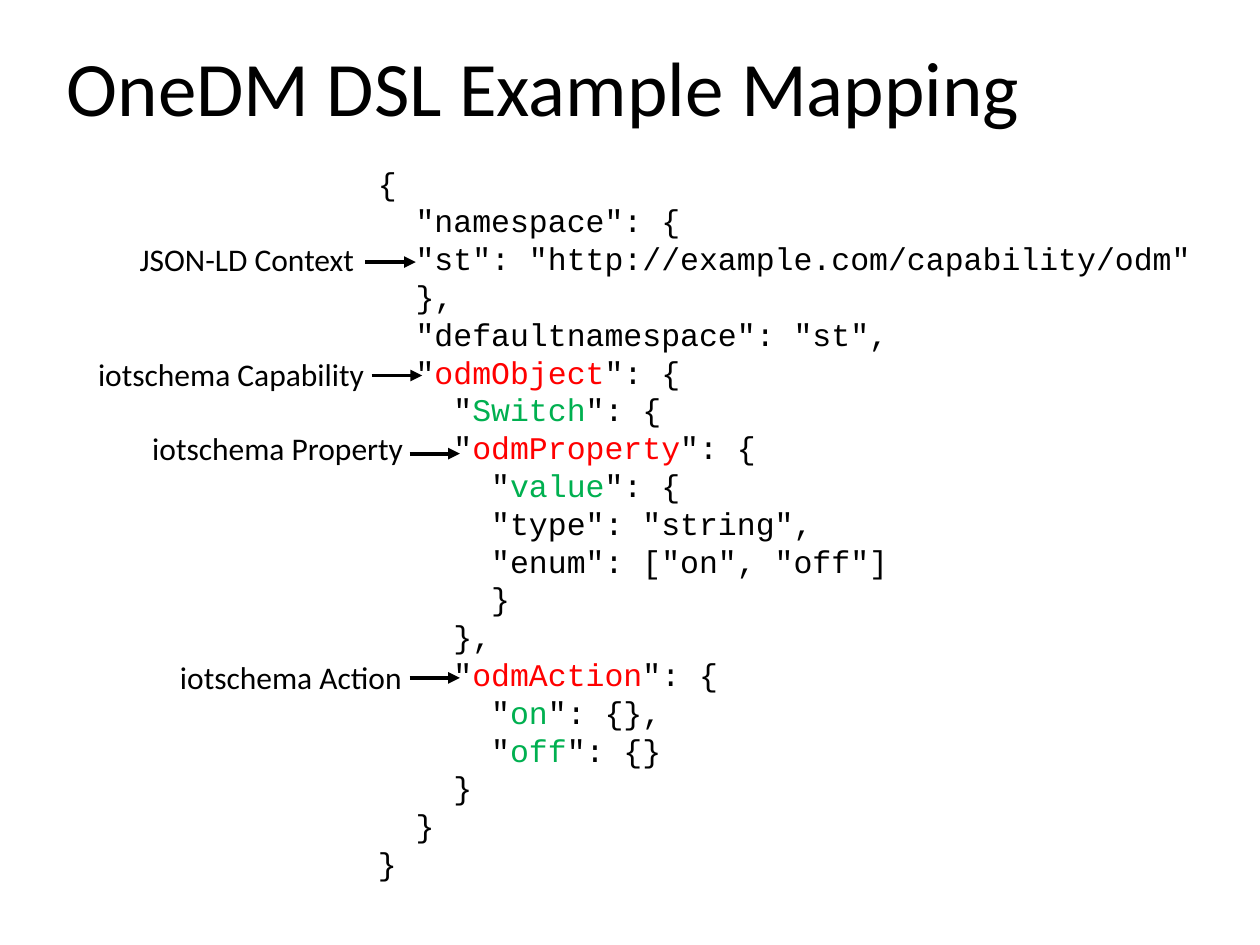
import pptx
import pptx.util
import pptx.dml.color
import pptx.enum.shapes
import pptx.enum.text
import pptx.oxml
import pptx.oxml.ns

BLACK, RED, GREEN = "000000", "FF0000", "00B050"
SANS, MONO = "Calibri", "Courier New"
COLS, ROWS = 100, 75

# Coloured keys stand between bars
CODE = '''{
  "namespace": {
  "st": "http://example.com/capability/odm"
  },
  "defaultnamespace": "st",
  "|odmObject|": {
    "|Switch|": {
    "|odmProperty|": {
      "|value|": {
      "type": "string",
      "enum": ["on", "off"]
      }
    },
    "|odmAction|": {
      "|on|": {},
      "|off|": {}
    }
  }
}'''

# Text, box (left, top, width) and arrow start (column, row)
LABELS = [
    ("JSON-LD Context", (10.1, 18.6, 20.1), (29, 20.8)),
    ("iotschema Capability", (6.8, 27.7, 23.4), (29.5, 29.8)),
    ("iotschema Property", (11.1, 33.6, 22.1), (32.5, 36)),
    ("iotschema Action", (13.3, 51.7, 19.8), (32.5, 53.8)),
]


def rgb(code):
    return pptx.dml.color.RGBColor.from_string(code)


def write(para, text, size=18, face=SANS, color=BLACK):
    run = para.add_run()
    run.text = text
    run.font.size = pptx.util.Pt(size)
    run.font.name = face
    run.font.color.rgb = rgb(color)


class Deck:
    def __init__(self):
        self.prs = pptx.Presentation()
        self.prs.slide_width = pptx.util.Inches(10)
        self.prs.slide_height = pptx.util.Inches(7.5)
        self.slide = self.prs.slides.add_slide(self.prs.slide_layouts[5])

    def x(self, col):
        return round(self.prs.slide_width * col / COLS)

    def y(self, row):
        return round(self.prs.slide_height * row / ROWS)

    def title(self, text, left, top, width, height):
        box = self.slide.shapes.title
        box.left, box.top = self.x(left), self.y(top)
        box.width, box.height = self.x(width), self.y(height)
        box.text_frame.vertical_anchor = pptx.enum.text.MSO_ANCHOR.MIDDLE
        para = box.text_frame.paragraphs[0]
        para.alignment = pptx.enum.text.PP_ALIGN.LEFT
        para.line_spacing = 0.9
        write(para, text, size=44)

    def box(self, left, top, width, height, wrap=False):
        box = self.slide.shapes.add_textbox(
            self.x(left), self.y(top), self.x(width), self.y(height))
        frame = box.text_frame
        frame.word_wrap = wrap
        frame.auto_size = pptx.enum.text.MSO_AUTO_SIZE.SHAPE_TO_FIT_TEXT
        return frame

    def label(self, text, left, top, width):
        write(self.box(left, top, width, 4).paragraphs[0], text)

    def code(self, text, left, top, width, height):
        frame = self.box(left, top, width, height, wrap=True)
        for i, line in enumerate(text.split("\n")):
            para = frame.add_paragraph() if i else frame.paragraphs[0]
            for j, part in enumerate(line.split("|")):
                key = RED if part.startswith("odm") else GREEN
                write(para, part, face=MONO, color=key if j % 2 else BLACK)

    def arrow(self, col, row, length=4):
        line = self.slide.shapes.add_connector(
            pptx.enum.shapes.MSO_CONNECTOR.STRAIGHT,
            self.x(col), self.y(row), self.x(col + length), self.y(row))
        line.line.color.rgb = rgb(BLACK)
        line.line.width = pptx.util.Pt(2.25)
        tail = pptx.oxml.parse_xml(
            f'<a:tailEnd {pptx.oxml.ns.nsdecls("a")} type="triangle"/>')
        line.line._get_or_add_ln().append(tail)
        flat = pptx.oxml.parse_xml(
            f'<a:effectLst {pptx.oxml.ns.nsdecls("a")}/>')
        line._element.spPr.append(flat)


def main():
    deck = Deck()
    deck.title("OneDM DSL Example Mapping", 4.3, 0, 86.2, 14.5)
    deck.code(CODE, 29, 12.5, 67.4, 58.6)
    # Labels pointing at the code
    for text, place, start in LABELS:
        deck.label(text, *place)
        deck.arrow(*start)
    deck.prs.save("out.pptx")


if __name__ == "__main__":
    main()
